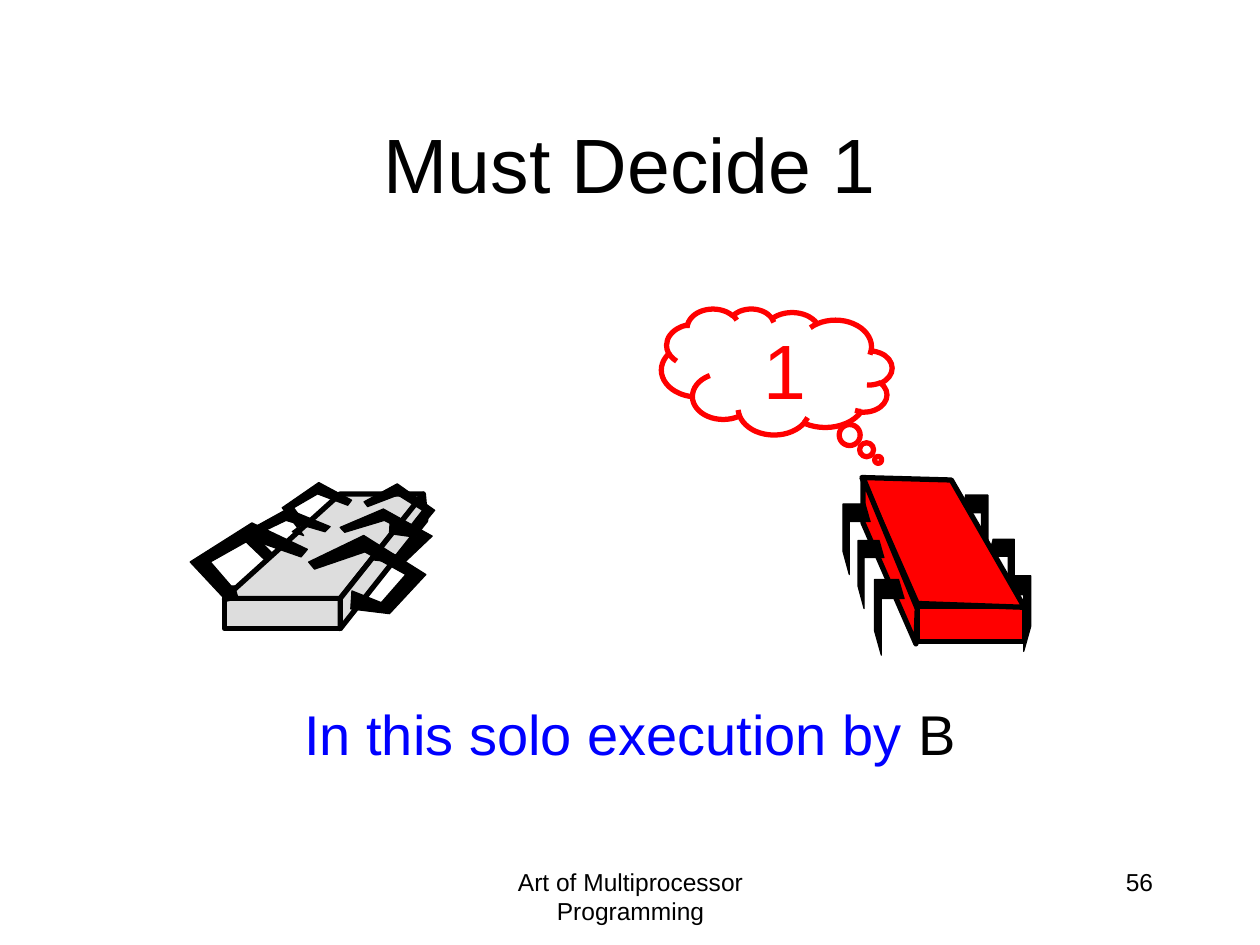
import pptx
import pptx.util
import pptx.dml.color
import pptx.enum.shapes
import pptx.enum.text

Inches = pptx.util.Inches
Pt = pptx.util.Pt
KIND = pptx.enum.shapes.MSO_SHAPE
HUE = {"ink": "000000", "red": "FF0000", "blue": "0000FF", "gray": "DDDDDD"}

HOOK = [(.18, 0), (1, 0), (1, .67), (.77, 1), (.77, .25), (0, .25)]
CLAW = [(.37, .71), (.36, .94), (.69, 1), (1, .5), (.47, 0), (0, .34),
        (.05, .43), (.48, .21), (.83, .5), (.62, .86)]
NEAR = [(.33, .55), (.36, .53), (.38, .6), (.29, .62), (0, .31), (.49, 0),
        (.93, .21), (.88, .27), (.48, .13), (.16, .31), (.35, .53),
        (.33, .5), (.36, .5), (.39, .5)]
MID = [(.3, .3), (.27, .37), (.22, .42), (0, .21), (.38, 0), (.72, .14),
       (.68, .18), (.37, .09), (.12, .21), (.27, .36)]
FAR = [(.2, .3), (.08, .39), (.17, .42), (0, .2), (.29, 0), (.55, .14),
       (.52, .18), (.28, .09), (.09, .2), (.2, .35)]


def tint(hue):
    """Return the named colour."""
    return pptx.dml.color.RGBColor.from_string(HUE[hue])


def write(shape, *runs, size=14, align="CENTER", anchor="TOP", before=0):
    """Fill a shape with one paragraph of (text, hue) runs."""
    frame = shape.text_frame
    frame.word_wrap = True
    frame.vertical_anchor = pptx.enum.text.MSO_ANCHOR[anchor]
    para = frame.paragraphs[0]
    para.alignment = pptx.enum.text.PP_ALIGN[align]
    para.space_before = Pt(before)
    for text, hue in runs:
        run = para.add_run()
        run.text = text
        run.font.name = "Arial"
        run.font.size = Pt(size)
        run.font.color.rgb = tint(hue)


def label(slide, box, *runs, **form):
    """Add a text box with formatted runs."""
    write(slide.shapes.add_textbox(*map(Inches, box)), *runs, **form)


def paint(shape, fill, line="ink", width=3):
    """Set the fill and outline of a shape."""
    shape.shadow.inherit = False
    if fill:
        shape.fill.solid()
        shape.fill.fore_color.rgb = tint(fill)
    else:
        shape.fill.background()
    shape.line.color.rgb = tint(line)
    shape.line.width = Pt(width)


def trace(shapes, box, dots, hue="ink", width=.75, close=True):
    """Draw an outline whose dots are scaled into a box."""
    left, top, wide, high = box
    spots = [(Inches(left + x * wide), Inches(top + y * high))
             for x, y in dots]
    pen = shapes.build_freeform(*spots[0])
    pen.add_line_segments(spots[1:], close=close)
    paint(pen.convert_to_shape(), hue, width=width)


def front(shapes, box, hue):
    """Draw the front face of a bug."""
    paint(shapes.add_shape(KIND.RECTANGLE, *map(Inches, box)), hue)


def red_bug(slide, left, top):
    """Draw the standing red bug from its top left corner."""
    shapes = slide.shapes.add_group_shape().shapes
    front(shapes, (left + .59, top + 1.02, .85, .28), "red")
    for x, y, wide, high in [(1.25, .78, .24, .6), (1.15, .49, .21, .54),
                             (.93, .14, .22, .56)]:
        trace(shapes, (left + x, top + y, wide, high), HOOK, close=False)
    trace(shapes, (left, top, 1, 1),
          [(1.44, 1.03), (.59, 1), (.15, 0), (.86, .02)], "red", 3)
    trace(shapes, (left, top, 1, 1),
          [(.16, 0), (.16, .36), (.58, 1.32), (.59, 1.04)], "red", 3)
    flip = [(1 - x, y) for x, y in HOOK]
    for x, y, wide, high in [(.25, .81, .24, .6), (.12, .5, .21, .54),
                             (0, .21, .22, .56)]:
        trace(shapes, (left + x, top + y, wide, high), flip, close=False)


def gray_bug(slide, left, top):
    """Draw the resting gray bug from its top left corner."""
    shapes = slide.shapes.add_group_shape().shapes
    trace(shapes, (left, top, 1, 1),
          [(1.85, .09), (1.19, .92), (.27, .92), (1.19, .09)], "gray", 3)
    front(shapes, (left + .27, top + .92, .92, .24), "gray")
    trace(shapes, (left, top, 1, 1),
          [(1.85, .09), (1.87, .3), (1.19, 1.16), (1.19, .92)], "gray", 3)
    for x, y, wide, high in [(.94, .42, .93, .62), (1.19, .21, .73, .43),
                             (1.38, .01, .56, .42)]:
        trace(shapes, (left + x, top + y, wide, high), CLAW)
    for x, y, dots in [(.39, .21, MID), (.73, 0, FAR), (0, .32, NEAR)]:
        trace(shapes, (left + x, top + y, 1, 1), dots)


def cloud(slide, box):
    """Draw the thought cloud, with its tail to the lower right."""
    shape = slide.shapes.add_shape(KIND.CLOUD_CALLOUT, *map(Inches, box))
    shape.adjustments[0] = -.44
    shape.adjustments[1] = .7
    shape._element.spPr.xfrm.set("flipH", "1")
    paint(shape, None, "red")
    write(shape, ("1", "red"), size=44, anchor="MIDDLE")


def head(slide, box):
    """Place and format the title."""
    title = slide.shapes.title
    title.left, title.top, title.width, title.height = map(Inches, box)
    write(title, ("Must Decide 1", "ink"), size=44, anchor="MIDDLE")


def main():
    """Build and save the slide."""
    deck = pptx.Presentation()
    deck.slide_width, deck.slide_height = Inches(10), Inches(7.5)
    slide = deck.slides.add_slide(deck.slide_layouts[5])
    label(slide, (3.42, 6.83, 3.17, .5),
          ("Art of Multiprocessor Programming", "ink"))
    label(slide, (7.17, 6.83, 2.08, .5), ("56", "ink"), align="RIGHT")
    head(slide, (.75, .67, 8.5, 1.25))
    red_bug(slide, 6.69, 3.79)
    cloud(slide, (5.25, 2.45, 1.83, 1))
    gray_bug(slide, 1.51, 3.83)
    label(slide, (.75, 5.5, 8.5, 1.17),
          ("In this solo execution by ", "blue"), ("B", "ink"),
          size=32, before=6)
    deck.save("out.pptx")


if __name__ == "__main__":
    main()
